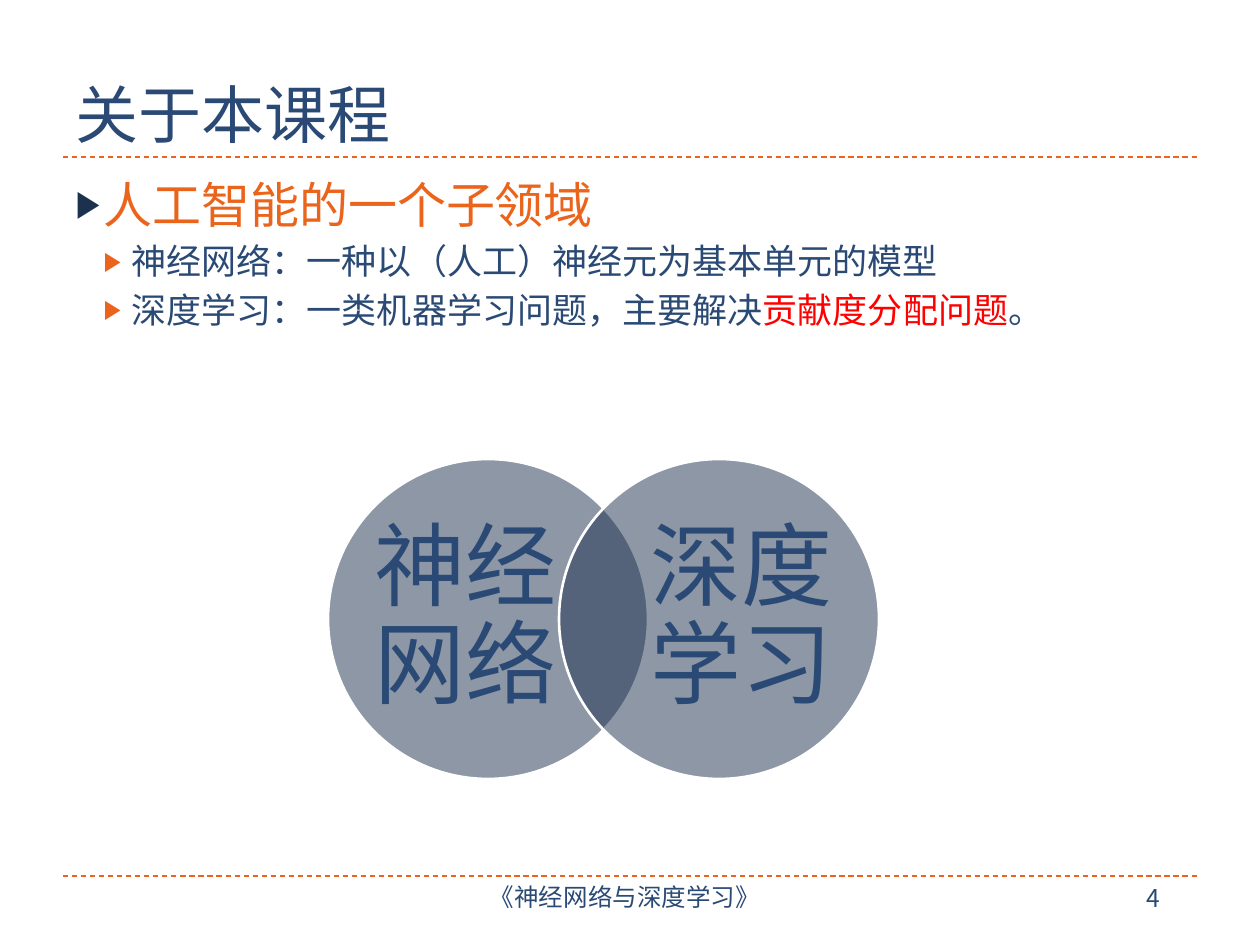
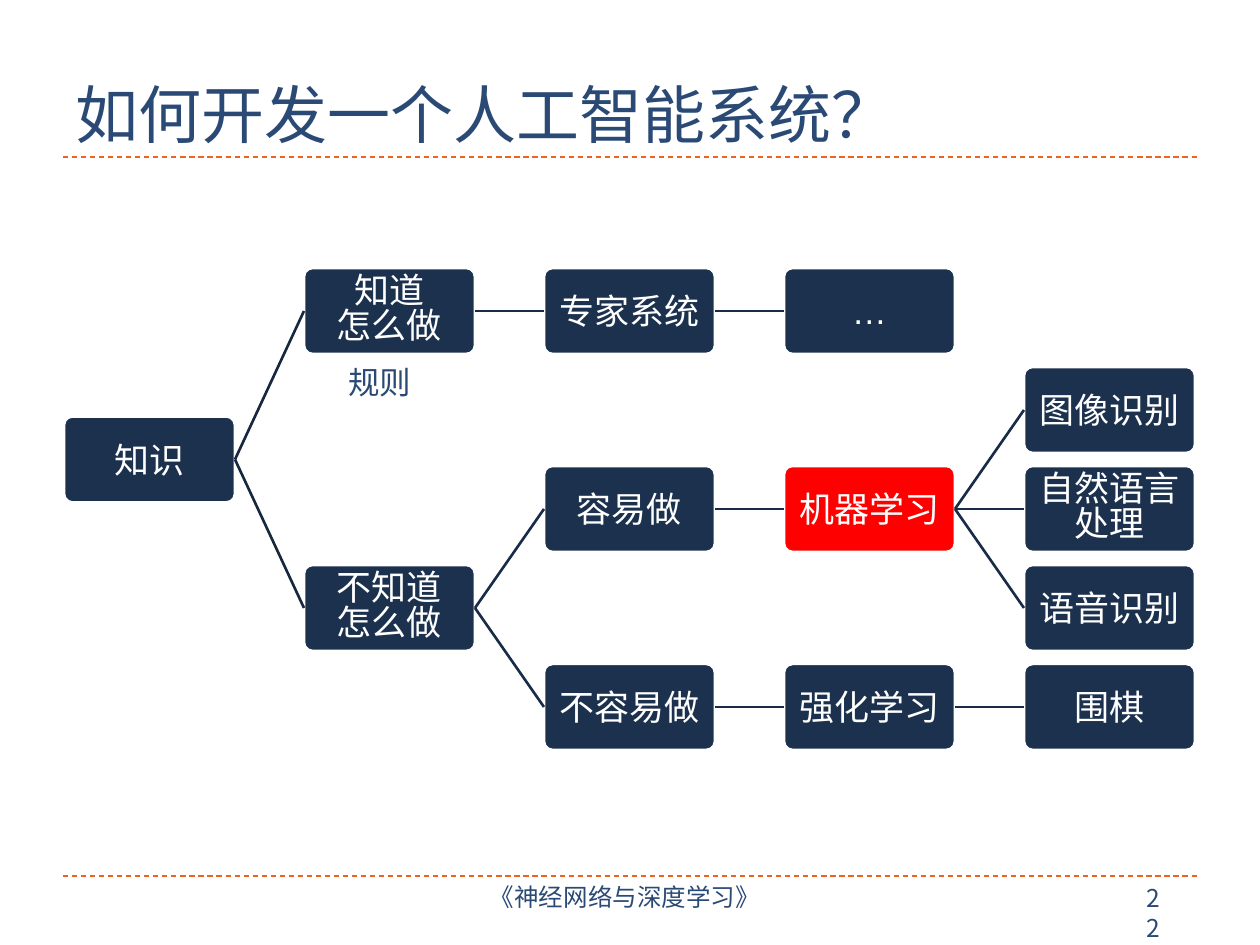
import pptx
import pptx.dml.color
import pptx.enum.dml
import pptx.enum.shapes
import pptx.enum.text
import pptx.oxml.ns
import pptx.util
from dataclasses import dataclass
from lxml import etree

ALIGN = pptx.enum.text.PP_ALIGN
ANCHOR = pptx.enum.text.MSO_ANCHOR
SHAPE = pptx.enum.shapes.MSO_SHAPE
qn = pptx.oxml.ns.qn


@dataclass(frozen=True)
class Theme:
    navy: str = "1C314E"
    blue: str = "2A4A75"
    orange: str = "EB641B"
    red: str = "FF0000"
    white: str = "FFFFFF"
    root_link: str = "16273E"
    link: str = "192C47"
    han: str = "Noto Sans CJK SC"
    latin: str = "Arial"
    title: int = 36
    lead: int = 28
    item: int = 20
    node: int = 20
    label: int = 18
    footer: int = 14
    venn: int = 52


THEME = Theme()

# Content
FOOTER = "《神经网络与深度学习》"
COURSE = {
    "title": "关于本课程",
    "number": "4",
    "list": [
        (0, [("人工智能的一个子领域", THEME.orange)]),
        (1, [("神经网络：一种以（人工）神经元为基本单元的模型", THEME.blue)]),
        (1, [("深度学习：一类机器学习问题，主要解决", THEME.blue),
             ("贡献度分配问题", THEME.red), ("。", THEME.blue)]),
    ],
    "circles": ["神经网络", "深度学习"],
}
SYSTEM = {
    "title": "如何开发一个人工智能系统？",
    "number": "22",
    "tree": ("知识", [
        ("知道\n怎么做", [("专家系统", [("…", [])])]),
        ("不知道\n怎么做", [
            ("容易做", [("机器学习", [
                ("图像识别", []), ("自然语言处理", []), ("语音识别", [])])]),
            ("不容易做", [("强化学习", [("围棋", [])])]),
        ]),
    ]),
    "highlight": "机器学习",
    "rule_label": "规则",
}

# Geometry in px, 126 to the inch
TITLE_AREA = (63, 21, 1134, 136)
BODY_AREA = (63, 168, 1134, 680)
FOOTER_AREA = (420, 877, 410, 50)
NUMBER_AREA = (1134, 877, 52, 43)
RULE_LABEL_AREA = (336, 357, 89, 50)
RULES_Y = (157, 876)
RULE_LEFT, RULE_RIGHT = 63, 1197
CIRCLE_LEFT, CIRCLE_TOP, CIRCLE_SIZE, CIRCLE_STEP = 328, 459, 320, 231
CIRCLE_TEXT = (185, 244)
CIRCLE_TEXT_INSET = 45
NODE_SIZE = (171, 86)
TREE_LEFT, TREE_TOP, COLUMN_STEP, ROW_STEP = 64, 268, 240, 99
BULLET_INDENT = 28
LEVELS = [
    {"size": THEME.lead, "bullet": THEME.navy, "before": 0},
    {"size": THEME.item, "bullet": THEME.orange, "before": 3.8},
]


def px(*lengths):
    return [pptx.util.Emu(round(length * 914400 / 126)) for length in lengths]


def rgb(code):
    return pptx.dml.color.RGBColor.from_string(code)


def apply(target, formats):
    for name, value in formats.items():
        setattr(target, name, value)


def add_span(para, text, size, color, face=THEME.han):
    span = para.add_run()
    span.text = text
    apply(span.font, {"size": pptx.util.Pt(size), "name": face})
    span.font.color.rgb = rgb(color)
    east_asian = etree.SubElement(span.font._element, qn("a:ea"))
    east_asian.set("typeface", THEME.han)


def set_frame(box, insets=None, **formats):
    frame = box.text_frame
    apply(frame, {"word_wrap": True, **formats})
    if insets:
        sides = ("margin_left", "margin_top", "margin_right", "margin_bottom")
        apply(frame, dict(zip(sides, px(*insets))))
    return frame


def write(frame, text, size, color, face=THEME.han, **formats):
    """Fill the frame with one paragraph for each line of text."""
    for index, line in enumerate(text.split("\n")):
        para = frame.add_paragraph() if index else frame.paragraphs[0]
        apply(para, formats)
        add_span(para, line, size, color, face)


def add_text(page, area, text, size, color, face=THEME.han, frame=None, **formats):
    box = page.shapes.add_textbox(*px(*area))
    write(set_frame(box, **(frame or {})), text, size, color, face, **formats)


def add_line(page, color, width, ends=(0, 0, 0, 0)):
    line = page.shapes.add_connector(
        pptx.enum.shapes.MSO_CONNECTOR.STRAIGHT, *px(*ends))
    line.line.color.rgb = rgb(color)
    line.line.width = pptx.util.Pt(width)
    etree.SubElement(line._element.spPr, qn("a:effectLst"))
    return line


def add_filled(page, kind, area, color):
    """Add a preset shape with the white outline of the diagrams."""
    shape = page.shapes.add_shape(kind, *px(*area))
    shape.shadow.inherit = False
    shape.fill.solid()
    shape.fill.fore_color.rgb = rgb(color)
    shape.line.color.rgb = rgb(THEME.white)
    shape.line.width = pptx.util.Pt(1.5)
    return shape


def place(box, area):
    apply(box, dict(zip(("left", "top", "width", "height"), px(*area))))


def add_page(deck, layout, content):
    """Add a slide with its title, dashed rules, footer and number."""
    page = deck.slides.add_slide(deck.slide_layouts.get_by_name(layout))
    for y in RULES_Y:
        rule = add_line(page, THEME.orange, 0.75, (RULE_LEFT, y, RULE_RIGHT, y))
        rule.line.dash_style = pptx.enum.dml.MSO_LINE.DASH
    add_text(page, FOOTER_AREA, FOOTER, THEME.footer, THEME.blue,
             frame={"insets": (9, 5, 9, 5)}, alignment=ALIGN.CENTER)
    add_text(page, NUMBER_AREA, content["number"], THEME.footer, THEME.blue)
    title = page.shapes.title
    place(title, TITLE_AREA)
    frame = set_frame(title, vertical_anchor=ANCHOR.BOTTOM,
                      auto_size=pptx.enum.text.MSO_AUTO_SIZE.NONE)
    write(frame, content["title"], THEME.title, THEME.blue, alignment=ALIGN.LEFT)
    return page


def add_bullet(para, level, color):
    props = para._p.get_or_add_pPr()
    indent, = px(BULLET_INDENT)
    props.set("marL", str(indent * (level + 1)))
    props.set("indent", str(-indent))
    tint = etree.SubElement(props, qn("a:buClr"))
    etree.SubElement(tint, qn("a:srgbClr")).set("val", color)
    etree.SubElement(props, qn("a:buSzPct")).set("val", "76000")
    etree.SubElement(props, qn("a:buChar")).set("char", "▶")


def fill_list(body, items):
    place(body, BODY_AREA)
    frame = set_frame(body, auto_size=pptx.enum.text.MSO_AUTO_SIZE.NONE)
    for index, (level, spans) in enumerate(items):
        style = LEVELS[level]
        para = frame.add_paragraph() if index else frame.paragraphs[0]
        add_bullet(para, level, style["bullet"])
        apply(para, {"level": level, "space_before": pptx.util.Pt(style["before"])})
        for text, color in spans:
            add_span(para, text, style["size"], color)


def add_venn(page, names):
    width, height = CIRCLE_TEXT
    insets = (CIRCLE_TEXT_INSET, CIRCLE_SIZE - width - CIRCLE_TEXT_INSET)
    for index, (name, inset) in enumerate(zip(names, insets)):
        left = CIRCLE_LEFT + index * CIRCLE_STEP
        circle = add_filled(page, SHAPE.OVAL,
                            (left, CIRCLE_TOP, CIRCLE_SIZE, CIRCLE_SIZE), THEME.navy)
        color = circle._element.spPr.find(qn("a:solidFill"))[0]
        etree.SubElement(color, qn("a:alpha")).set("val", "50000")
        top = CIRCLE_TOP + (CIRCLE_SIZE - height) / 2
        add_text(page, (left + inset, top, width, height), name,
                 THEME.venn, THEME.blue, THEME.latin,
                 frame={"insets": (0, 0, 0, 0), "vertical_anchor": ANCHOR.MIDDLE},
                 alignment=ALIGN.CENTER, line_spacing=0.9)


def add_tree(page, node, highlight, column=0, first_row=0):
    """Draw a node and its branches; return its box, row and next free row."""
    text, children = node
    branches, next_row = [], first_row
    for child in children:
        box, row, next_row = add_tree(page, child, highlight, column + 1, next_row)
        branches.append((box, row))
    if branches:
        row = (branches[0][1] + branches[-1][1]) / 2
    else:
        row, next_row = first_row, first_row + 1
    area = (TREE_LEFT + column * COLUMN_STEP, TREE_TOP + row * ROW_STEP, *NODE_SIZE)
    box = add_filled(page, SHAPE.ROUNDED_RECTANGLE, area,
                     THEME.red if text == highlight else THEME.navy)
    box.adjustments[0] = 0.1
    frame = set_frame(box, insets=(4, 4, 4, 4), vertical_anchor=ANCHOR.MIDDLE)
    two_lines = "\n" in text or len(text) > 4
    write(frame, text, THEME.node, THEME.white, THEME.latin,
          alignment=ALIGN.CENTER, line_spacing=0.83 if two_lines else 1.0)
    for child_box, _ in branches:
        link = add_line(page, THEME.link if column else THEME.root_link, 1.5)
        link.begin_connect(box, 3)
        link.end_connect(child_box, 1)
    return box, row, next_row


def main():
    deck = pptx.Presentation()
    deck.slide_width, deck.slide_height = px(1260, 945)

    page = add_page(deck, "Title and Content", COURSE)
    fill_list(page.placeholders[1], COURSE["list"])
    add_venn(page, COURSE["circles"])

    page = add_page(deck, "Title Only", SYSTEM)
    add_tree(page, SYSTEM["tree"], SYSTEM["highlight"])
    add_text(page, RULE_LABEL_AREA, SYSTEM["rule_label"], THEME.label,
             THEME.blue, THEME.latin, frame={"word_wrap": False})

    deck.save("out.pptx")


if __name__ == "__main__":
    main()
